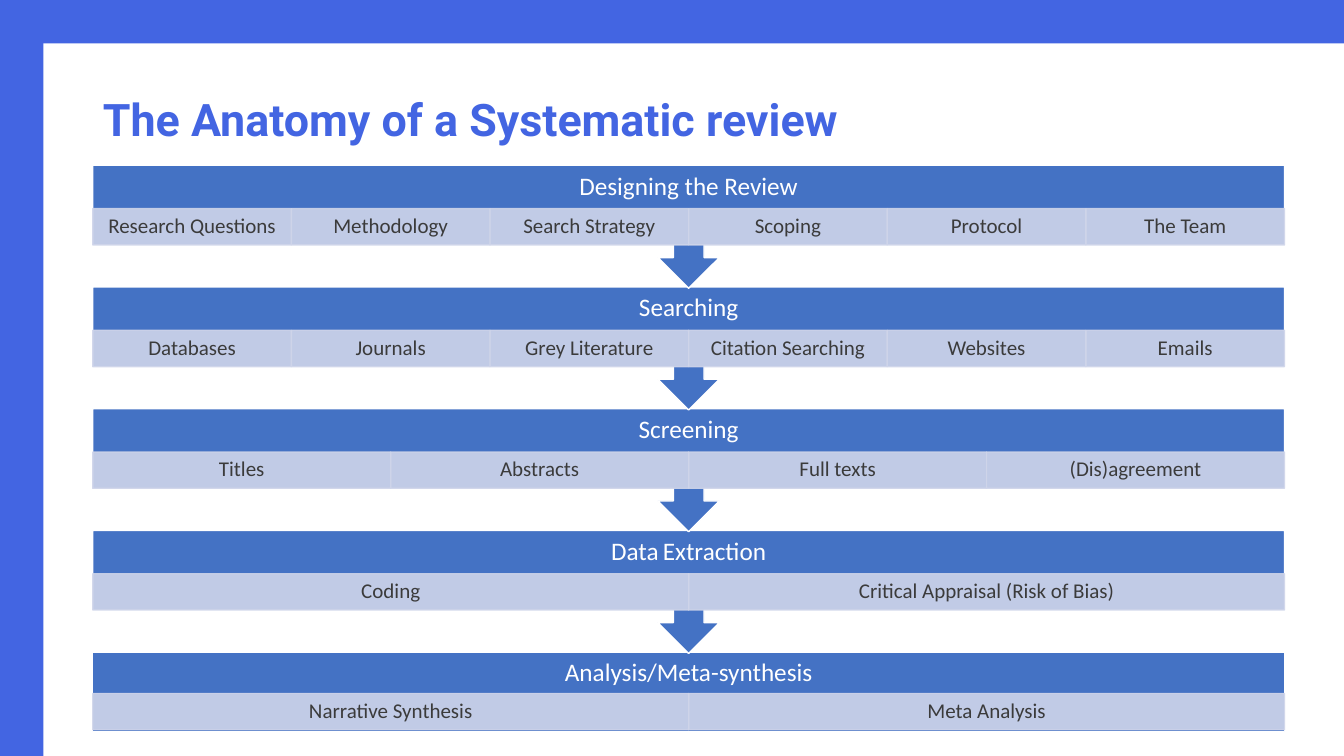
from lxml import etree
from pptx import Presentation
from pptx.dml.color import RGBColor
from pptx.enum import shapes as kinds, text as txt
from pptx.oxml.ns import qn
from pptx.util import Inches, Pt

TITLE = "The Anatomy of a Systematic review"
# Each heading is a list of (words, size) runs, followed by its parts.
STAGES = [
    ([("Designing the Review", 18)],
     ["Research Questions", "Methodology", "Search Strategy", "Scoping", "Protocol", "The Team"]),
    ([("Searching", 18)],
     ["Databases", "Journals", "Grey Literature", "Citation Searching", "Websites", "Emails"]),
    ([("Screening", 18)], ["Titles", "Abstracts", "Full texts", "(Dis)agreement"]),
    ([("Data", 18), (" ", 13), ("Extraction", 18)],
     ["Coding", "Critical Appraisal (Risk of Bias)"]),
    ([("Analysis/Meta-synthesis", 18)], ["Narrative Synthesis", "Meta Analysis"]),
]

FRAME, STAGE, PART, PART_TEXT, WHITE = "4365E2", "4472C4", "CFD5EA", "3B3B3B", "FFFFFF"
LEFT, WIDTH = 0.92, 11.82
FIRST_TOP, LAST_TOP = 1.64, 6.47
PITCH = (LAST_TOP - FIRST_TOP) / (len(STAGES) - 1)
HEADING_H, PART_H = 0.43, 0.36
CALLOUT_H, LAST_H, LAST_HEADING_H = 1.22, 0.79, 0.41


def rgb(value):
    return RGBColor.from_string(value)


def write(frame, runs, font="Calibri", color=WHITE, bold=False,
          align=txt.PP_ALIGN.CENTER, inset=(0.1, 0.05)):
    frame.word_wrap = True
    frame.vertical_anchor = txt.MSO_ANCHOR.MIDDLE
    frame.margin_left = frame.margin_right = Inches(inset[0])
    frame.margin_top = frame.margin_bottom = Inches(inset[1])
    paragraph = frame.paragraphs[0]
    paragraph.alignment = align
    paragraph.line_spacing = 0.9
    for words, size in runs:
        run = paragraph.add_run()
        run.text = words
        run.font.name, run.font.size, run.font.bold = font, Pt(size), bold
        run.font.color.rgb = rgb(color)


def add_block(kind, box, fill, line=None, opacity=None):
    block = slide.shapes.add_shape(kind, *map(Inches, box))
    block.shadow.inherit = False
    block.fill.solid()
    block.fill.fore_color.rgb = rgb(fill)
    if line:
        block.line.color.rgb = rgb(line)
        block.line.width = Pt(1)
    else:
        block.line.fill.background()
    if opacity:
        for color in block._element.spPr.iter(qn("a:srgbClr")):
            etree.SubElement(color, qn("a:alpha"), val=str(opacity * 1000))
    return block


def add_stage(index, heading, parts):
    top = FIRST_TOP + index * PITCH
    is_last = index == len(STAGES) - 1
    if is_last:
        add_block(RECT, (LEFT, top, WIDTH, LAST_H), STAGE, WHITE)
    else:
        callout = add_block(kinds.MSO_SHAPE.UP_ARROW_CALLOUT,
                            (LEFT, top, WIDTH, CALLOUT_H), STAGE, WHITE)
        callout.rotation = 180
    label = slide.shapes.add_textbox(*map(Inches, (LEFT, top, WIDTH, HEADING_H)))
    write(label.text_frame, heading, inset=(0.14, 0.14))

    part_top = top + (LAST_HEADING_H if is_last else HEADING_H)
    part_w = WIDTH / len(parts)
    for column, part in enumerate(parts):
        cell = add_block(RECT, (LEFT + column * part_w, part_top, part_w, PART_H),
                         PART, PART, opacity=90)
        write(cell.text_frame, [(part, 15)], color=PART_TEXT, inset=(0.12, 0.02))


RECT = kinds.MSO_SHAPE.RECTANGLE
deck = Presentation()
deck.slide_width, deck.slide_height = Inches(13.33), Inches(7.5)
slide = deck.slides.add_slide(deck.slide_layouts[5])

add_block(RECT, (-0.01, -0.01, 0.44, 7.52), FRAME)
add_block(RECT, (-0.01, -0.01, 13.35, 0.44), FRAME)

title = slide.shapes.title
title.left, title.top, title.width, title.height = map(Inches, (0.92, 0.85, 7.65, 0.73))
write(title.text_frame, [(TITLE, 32)], font="Roboto", color=FRAME, bold=True,
      align=txt.PP_ALIGN.LEFT)

# Later stages lie behind, so each arrow tip shows over the stage below it.
for index, (heading, parts) in reversed(list(enumerate(STAGES))):
    add_stage(index, heading, parts)

deck.save("out.pptx")
